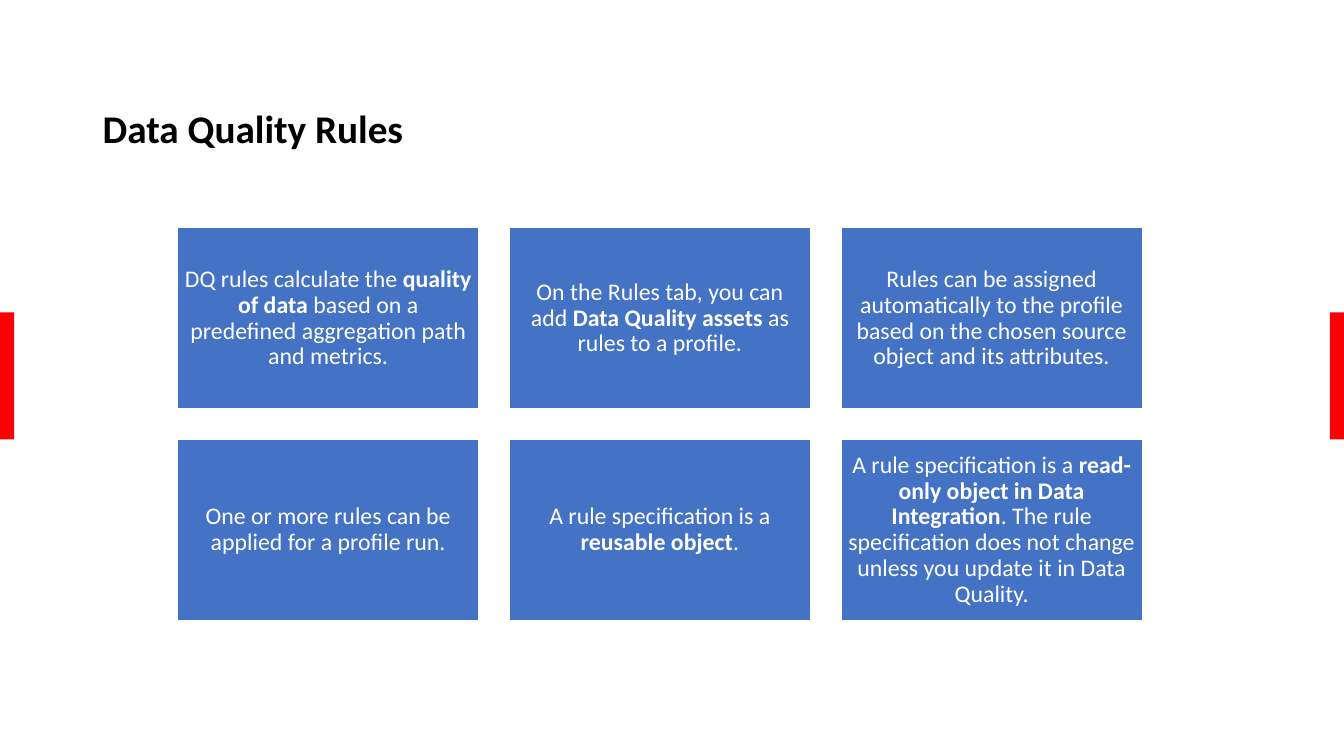
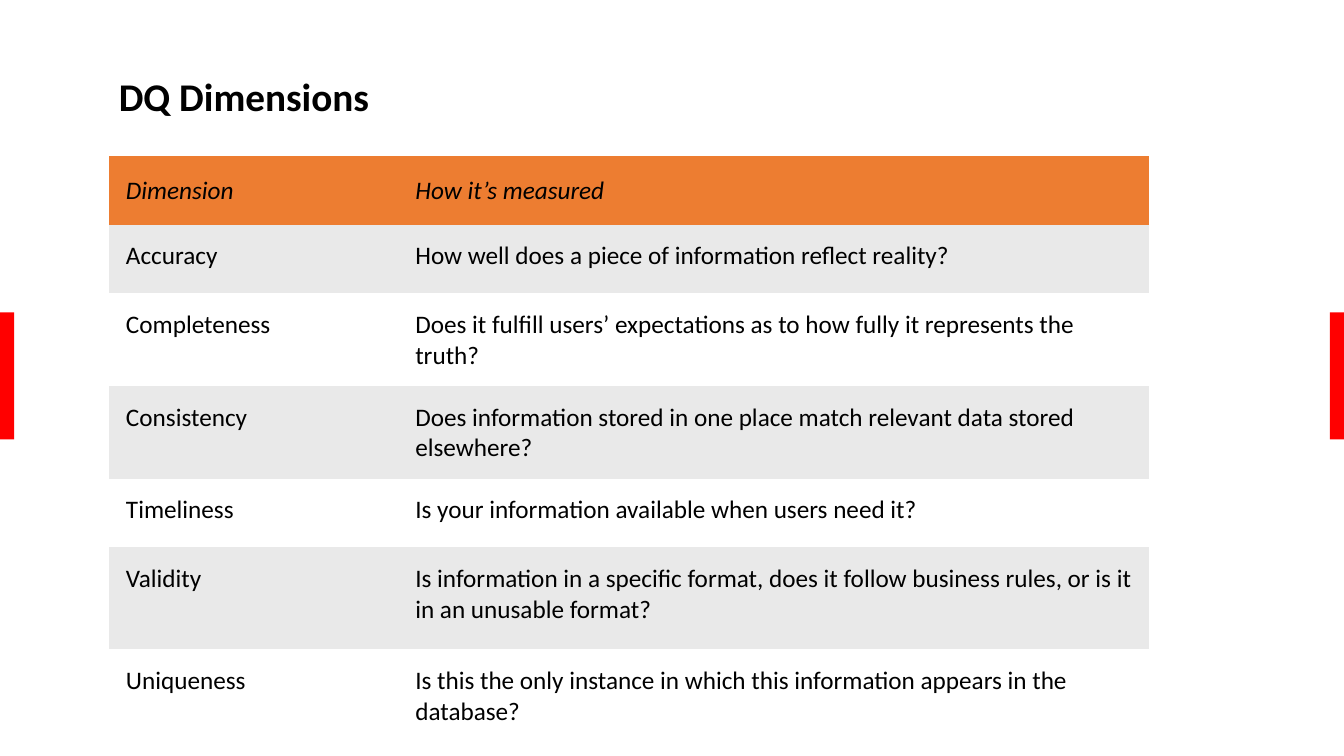
import pptx
import pptx.dml.color
import pptx.enum.shapes
import pptx.enum.text
import pptx.oxml.ns
import pptx.util

Inches = pptx.util.Inches
RGBColor = pptx.dml.color.RGBColor
ANCHOR = pptx.enum.text.MSO_ANCHOR

RED = RGBColor(0xFF, 0x00, 0x00)
BLUE = RGBColor(0x44, 0x72, 0xC4)
ORANGE = RGBColor(0xED, 0x7D, 0x31)
GREY = RGBColor(0xE9, 0xE9, 0xE9)
WHITE = RGBColor(0xFF, 0xFF, 0xFF)
BLACK = RGBColor(0x00, 0x00, 0x00)
PLAIN_TABLE_STYLE = "{2D5ABB26-0587-4C30-8999-92F81FD0307C}"

RULES = [
    "DQ rules calculate the **quality of data **based on a predefined aggregation path and metrics.",
    "On the Rules tab, you can add **Data Quality assets **as rules to a profile.",
    "Rules can be assigned automatically to the profile based on the chosen source object and its attributes.",
    "One or more rules can be applied for a profile run.",
    "A rule specification is a **reusable object**.",
    "A rule specification is a **read-only object in Data Integration**. "
    "The rule specification does not change unless you update it in Data Quality.",
]

DIMENSIONS = [
    ("Dimension", "How it’s measured"),
    ("Accuracy", "How well does a piece of information reflect reality?"),
    ("Completeness", "Does it fulfill users’ expectations as to how fully it represents the truth?"),
    ("Consistency", "Does information stored in one place match relevant data stored elsewhere?"),
    ("Timeliness", "Is your information available when users need it?"),
    ("Validity", "Is information in a specific format, does it follow business rules, "
                 "or is it in an unusable format?"),
    ("Uniqueness", "Is this the only instance in which this information appears in the database?"),
]


class Deck:
    """Holds the presentation style and the current slide."""

    def __init__(self):
        self.presentation = pptx.Presentation()
        self.presentation.slide_width = Inches(13.33)
        self.presentation.slide_height = Inches(7.5)
        self.slide = None

    def add_slide(self):
        self.slide = self.presentation.slides.add_slide(self.presentation.slide_layouts[6])
        for left in (0, 13.19):
            self.rectangle(left, 3.1, 0.14, 1.26, RED)

    def style(self, paragraph, size, color, bold=None, italic=None):
        font = paragraph.font
        font.name = "Calibri"
        font.size = pptx.util.Pt(size)
        font.color.rgb = color
        font.bold = bold
        font.italic = italic

    def rectangle(self, left, top, width, height, fill):
        shape = self.slide.shapes.add_shape(
            pptx.enum.shapes.MSO_SHAPE.RECTANGLE,
            Inches(left), Inches(top), Inches(width), Inches(height))
        shape.shadow.inherit = False
        shape.fill.solid()
        shape.fill.fore_color.rgb = fill
        shape.line.fill.background()
        return shape

    def title(self, text, left, top, width, height, line_spacing=1.0):
        shape = self.slide.shapes.add_textbox(
            Inches(left), Inches(top), Inches(width), Inches(height))
        shape.text_frame.word_wrap = True
        paragraph = shape.text_frame.paragraphs[0]
        paragraph.text = text
        paragraph.line_spacing = line_spacing
        self.style(paragraph, 28, BLACK, bold=True)

    def card(self, text, left, top, width, height):
        shape = self.rectangle(left, top, width, height, BLUE)
        shape.line.color.rgb = WHITE
        shape.line.width = pptx.util.Pt(1)
        frame = shape.text_frame
        frame.word_wrap = True
        frame.vertical_anchor = ANCHOR.MIDDLE
        frame.margin_left = frame.margin_right = Inches(0.07)
        frame.margin_top = frame.margin_bottom = Inches(0.07)
        paragraph = frame.paragraphs[0]
        paragraph.alignment = pptx.enum.text.PP_ALIGN.CENTER
        paragraph.line_spacing = 0.9
        self.style(paragraph, 17, WHITE)
        for index, part in enumerate(text.split("**")):
            run = paragraph.add_run()
            run.text = part
            if index % 2:
                run.font.bold = True

    def table(self, rows, left, top, widths, heights):
        frame = self.slide.shapes.add_table(
            len(rows), len(widths), Inches(left), Inches(top),
            Inches(sum(widths)), Inches(sum(heights)))
        style_id = frame.element.find(".//" + pptx.oxml.ns.qn("a:tableStyleId"))
        style_id.text = PLAIN_TABLE_STYLE
        table = frame.table
        table.horz_banding = False
        for column, width in zip(table.columns, widths):
            column.width = Inches(width)
        for index, (row, height, texts) in enumerate(zip(table.rows, heights, rows)):
            row.height = Inches(height)
            is_header = index == 0
            fill = ORANGE if is_header else GREY if index % 2 else WHITE
            for cell, text in zip(row.cells, texts):
                self.cell(cell, text, fill, is_header)

    def cell(self, cell, text, fill, is_header):
        cell.fill.solid()
        cell.fill.fore_color.rgb = fill
        cell.margin_left = Inches(0.17)
        cell.margin_right = Inches(0.16 if is_header else 0.17)
        cell.margin_top = cell.margin_bottom = Inches(0.16)
        cell.vertical_anchor = ANCHOR.MIDDLE if is_header else ANCHOR.TOP
        paragraph = cell.text_frame.paragraphs[0]
        paragraph.text = text
        self.style(paragraph, 18, BLACK, italic=is_header)

    def save(self):
        self.presentation.save("out.pptx")


def main():
    deck = Deck()

    deck.add_slide()
    deck.title("Data Quality Rules", 0.92, 1.04, 11.5, 1.45, line_spacing=0.9)
    width, height, gap = 2.99, 1.8, 0.3
    for index, rule in enumerate(RULES):
        row, column = divmod(index, 3)
        deck.card(rule, 1.76 + column * (width + gap), 2.26 + row * (height + gap), width, height)

    deck.add_slide()
    deck.title("DQ Dimensions", 1.08, 0.67, 10.12, 0.88)
    deck.table(DIMENSIONS, 1.08, 1.55, [2.87, 7.45], [0.68, 0.68, 0.91, 0.91, 0.68, 1.01, 1.01])

    deck.save()


if __name__ == "__main__":
    main()
